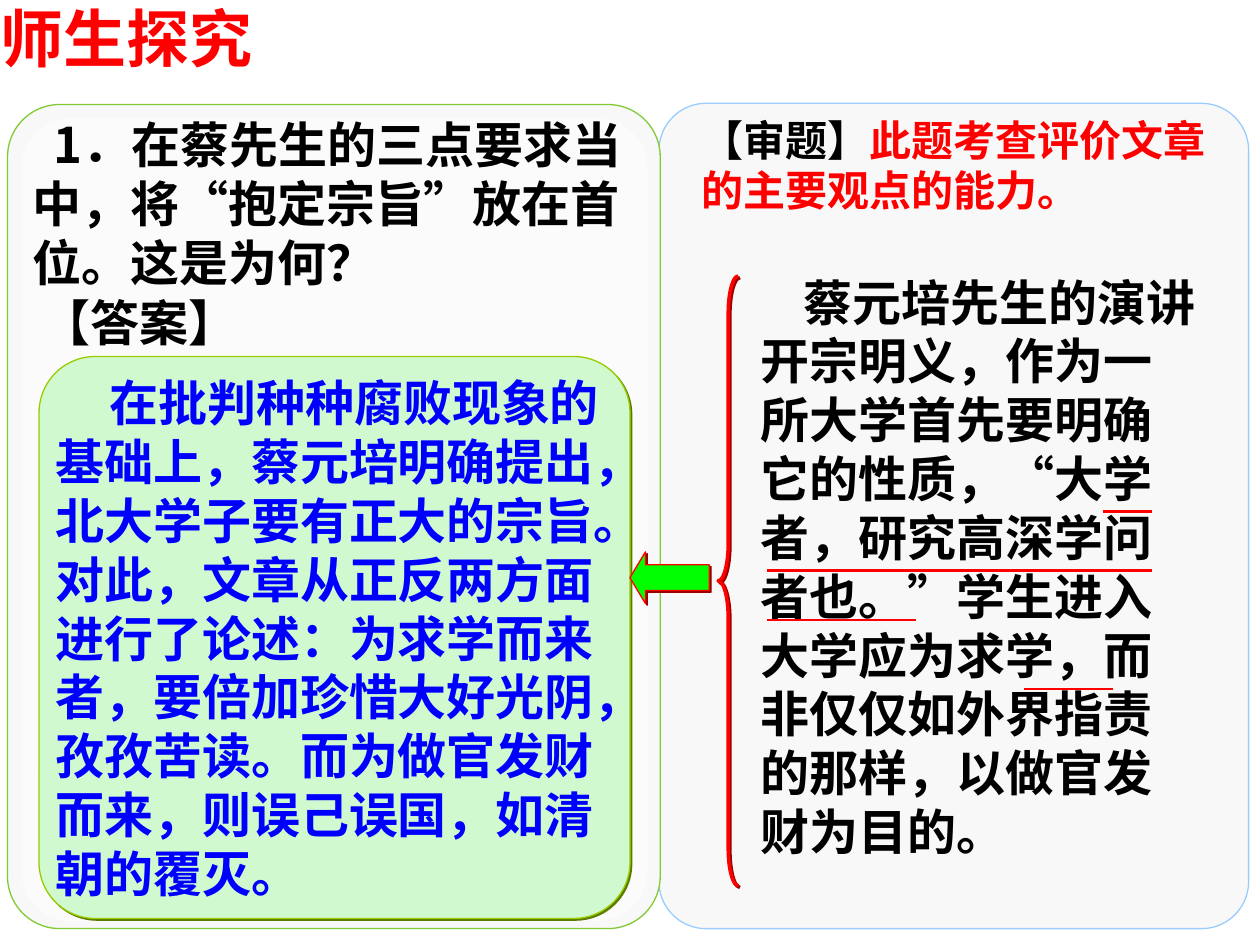
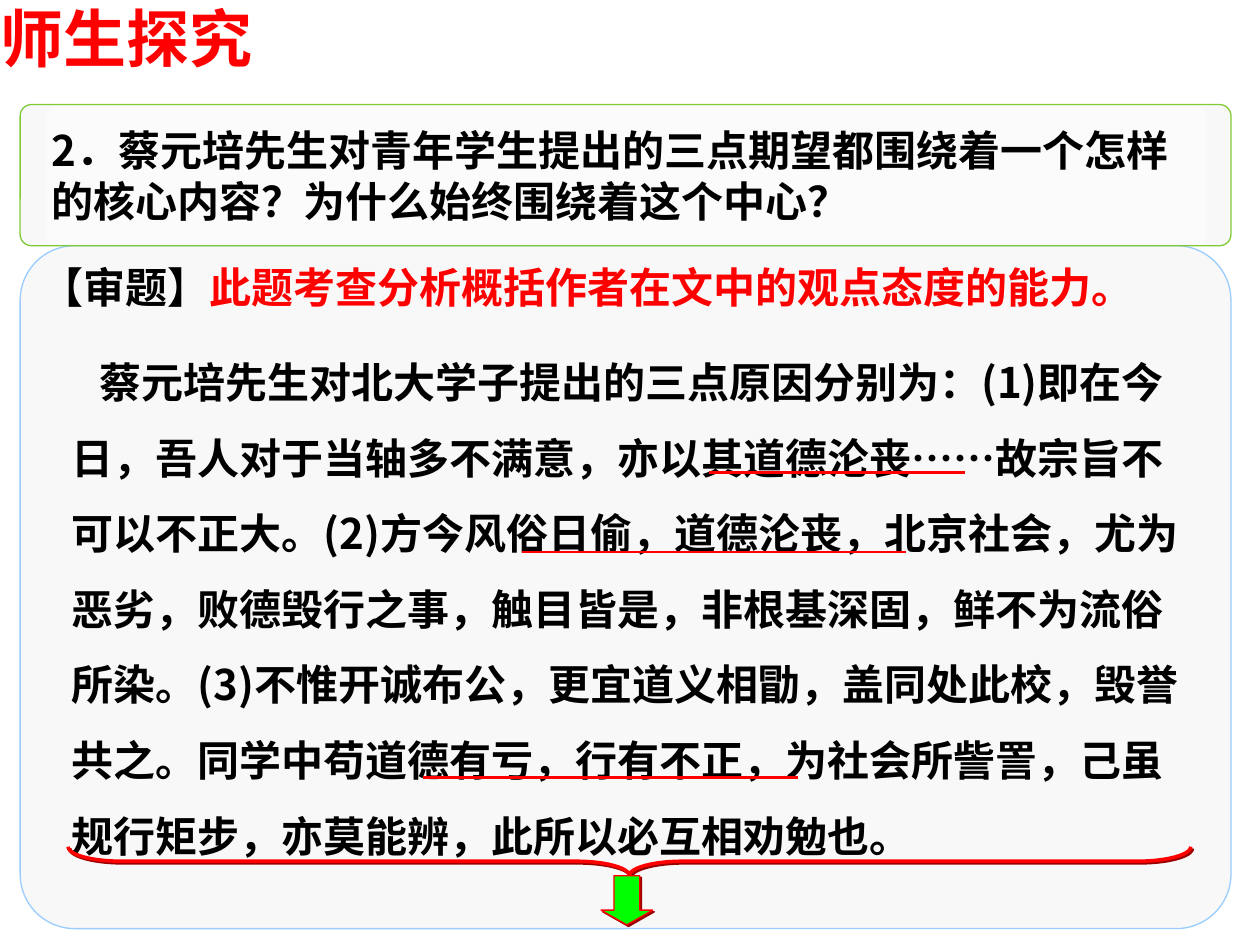
from dataclasses import dataclass
from typing import NamedTuple

from lxml import etree
from pptx import Presentation
from pptx.dml.color import RGBColor
from pptx.enum.shapes import MSO_CONNECTOR, MSO_SHAPE
from pptx.enum.text import MSO_ANCHOR, PP_ALIGN
from pptx.oxml.ns import qn
from pptx.util import Inches, Pt

ROUND = MSO_SHAPE.ROUNDED_RECTANGLE
BRACE = MSO_SHAPE.LEFT_BRACE
ARROW = MSO_SHAPE.LEFT_ARROW
STRAIGHT = MSO_CONNECTOR.STRAIGHT
TOP, MIDDLE = MSO_ANCHOR.TOP, MSO_ANCHOR.MIDDLE
LEFT = PP_ALIGN.LEFT

# Grid: 100 columns by 75 rows
WIDTH, HEIGHT = Inches(10), Inches(7.5)
COL, ROW = WIDTH / 100, HEIGHT / 75

# Shared style
BLACK = RGBColor(0x00, 0x00, 0x00)
RED = RGBColor(0xFF, 0x00, 0x00)
BLUE = RGBColor(0x00, 0x00, 0xFF)
WHITE = RGBColor(0xFF, 0xFF, 0xFF)
PANEL = RGBColor(0xF8, 0xF8, 0xF8)
SKY = RGBColor(0x99, 0xCC, 0xFF)
LEAF = RGBColor(0x80, 0xCB, 0x35)
MINT = RGBColor(0xD1, 0xF9, 0xCF)
LIME = RGBColor(0x99, 0xCC, 0x00)
GREEN = RGBColor(0x00, 0xFF, 0x00)
OLIVE = RGBColor(0x5C, 0x7A, 0x00)
DARK_RED = RGBColor(0x99, 0x00, 0x00)
GREY = RGBColor(0x80, 0x80, 0x80)
LATIN, CJK = "Arial", "Noto Sans CJK SC"
CORNER = 0.08
PADDING = (Inches(0.1), Inches(0.05))


class Box(NamedTuple):
    """Place on the grid, in columns and rows."""
    col: float
    row: float
    cols: float
    rows: float

    def emu(self) -> list[int]:
        return [int(v * u) for v, u in zip(self, (COL, ROW, COL, ROW))]


class Underline(NamedTuple):
    start: float
    end: float
    row: float


class Piece(NamedTuple):
    text: str
    color: RGBColor


@dataclass
class Passage:
    box: Box
    pieces: list[Piece]
    size: int = 24
    font: str = CJK
    indent: float = 0  # first line, in columns
    spacing: float = 1
    shadow: bool = False


@dataclass
class Figure:
    box: Box
    kind: int = ROUND
    fill: RGBColor | None = PANEL
    line: RGBColor | None = SKY
    weight: float = 0.75
    adjust: tuple[float, ...] = (CORNER,)
    alpha: int = 100
    shadow: RGBColor | None = None
    rotation: int = 0


def add_shadow(parent, color: RGBColor) -> None:
    effects = parent.find(qn("a:effectLst"))
    if effects is None:
        effects = etree.SubElement(parent, qn("a:effectLst"))
    outer = etree.SubElement(effects, qn("a:outerShdw"), dist=str(Pt(1.4)),
                             dir="2700000", algn="ctr", rotWithShape="0")
    etree.SubElement(outer, qn("a:srgbClr"), val=str(color))


def write(tf, passage: Passage, padding=PADDING, anchor=TOP) -> None:
    tf.word_wrap = True
    tf.vertical_anchor = anchor
    tf.margin_left = tf.margin_right = padding[0]
    tf.margin_top = tf.margin_bottom = padding[1]
    p = tf.paragraphs[0]
    p.alignment = LEFT
    p.line_spacing = passage.spacing
    pPr = p._p.get_or_add_pPr()
    pPr.set("marL", "0")
    pPr.set("indent", str(int(passage.indent * COL)))
    p.font.size, p.font.bold, p.font.name = Pt(passage.size), True, passage.font
    etree.SubElement(pPr.find(qn("a:defRPr")), qn("a:ea"), typeface=CJK)
    for piece in passage.pieces:
        r = p.add_run()
        r.text = piece.text
        r.font.color.rgb = piece.color
        if passage.shadow:
            add_shadow(r._r.get_or_add_rPr(), GREY)


def add_text(s, passage: Passage, padding=PADDING) -> None:
    write(s.shapes.add_textbox(*passage.box.emu()).text_frame, passage, padding)


def add_figure(s, figure: Figure):
    sp = s.shapes.add_shape(figure.kind, *figure.box.emu())
    sp.shadow.inherit = False
    for i, value in enumerate(figure.adjust):
        sp.adjustments[i] = value
    sp.rotation = figure.rotation
    if figure.fill is None:
        sp.fill.background()
    else:
        sp.fill.solid()
        sp.fill.fore_color.rgb = figure.fill
        if figure.alpha < 100:
            color = sp._element.spPr.find(qn("a:solidFill"))[0]
            etree.SubElement(color, qn("a:alpha"), val=str(figure.alpha * 1000))
    if figure.line is None:
        sp.line.fill.background()
    else:
        sp.line.color.rgb = figure.line
        sp.line.width = Pt(figure.weight)
    if figure.shadow is not None:
        add_shadow(sp._element.spPr, figure.shadow)
    return sp


def add_question_panel(s, outer: Box, sheen: Box) -> None:
    add_figure(s, Figure(outer, line=LEAF))
    add_figure(s, Figure(sheen, fill=WHITE, line=None, alpha=50))


def add_pointer(s, brace: Box, arrow: Box, rotation: int = 0) -> None:
    """A brace gathering the text, and the arrow that leads on from it."""
    add_figure(s, Figure(brace, BRACE, None, RED, 2, (1.85, 0.5),
                         shadow=DARK_RED, rotation=rotation))
    add_figure(s, Figure(arrow, ARROW, GREEN, RED, adjust=(0.5, 0.3),
                         shadow=DARK_RED, rotation=rotation))


def add_underlines(s, underlines: list[Underline]) -> None:
    for u in underlines:
        y = int(u.row * ROW)
        line = s.shapes.add_connector(STRAIGHT, int(u.start * COL), y,
                                      int(u.end * COL), y)
        line.line.color.rgb = RED
        line.line.width = Pt(1.5)
        etree.SubElement(line._element.spPr, qn("a:effectLst"))


def add_title(s) -> None:
    add_text(s, Passage(Box(0, 0, 33.5, 6), [Piece("师生探究", RED)], 36, LATIN,
                        shadow=True), (0, 0))


def exam_focus(box: Box, text: str) -> Passage:
    return Passage(box, [Piece("【审题】", BLACK), Piece(text, RED)])


def build_first_question(s) -> None:
    # Panels and title
    add_figure(s, Figure(Box(52.3, 8.2, 46.8, 65.5)))
    add_question_panel(s, Box(0.6, 8.3, 51.8, 65.4), Box(1.7, 9.4, 49.7, 63.7))
    add_title(s)

    # Question and reasoning
    add_text(s, Passage(Box(1.6, 8.6, 49.2, 15), [Piece(
        "1．在蔡先生的三点要求当中，将“抱定宗旨”放在首位。这是为何？", BLACK)],
        28, indent=1.7))
    add_text(s, Passage(Box(59.4, 21.1, 36.7, 47.7), [Piece(
        "蔡元培先生的演讲开宗明义，作为一所大学首先要明确它的性质，“大学者，"
        "研究高深学问者也。”学生进入大学应为求学，而非仅仅如外界指责的那样，"
        "以做官发财为目的。", BLACK)], 28, LATIN, indent=3.4))

    # Answer
    answer = Passage(Box(3.1, 28.3, 46.9, 44.6), [Piece(
        "在批判种种腐败现象的基础上，蔡元培明确提出，北大学子要有正大的宗旨。"
        "对此，文章从正反两方面进行了论述：为求学而来者，要倍加珍惜大好光阴，"
        "孜孜苦读。而为做官发财而来，则误己误国，如清朝的覆灭。", BLUE)],
        28, LATIN, indent=4.3)
    card = add_figure(s, Figure(answer.box, fill=MINT, line=LIME,
                                adjust=(0.1,), shadow=OLIVE))
    write(card.text_frame, answer, (0, 0), MIDDLE)
    add_text(s, exam_focus(Box(54.7, 8.6, 43.7, 9),
                           "此题考查评价文章的主要观点的能力。"))

    # Marks
    add_underlines(s, [Underline(87.5, 91.4, 40.6), Underline(60.9, 91.4, 45.3),
                       Underline(60.9, 72.7, 49.2), Underline(81.3, 88.3, 54.7)])
    add_pointer(s, Box(57, 21.9, 1.6, 48.4), Box(50, 43.8, 6.3, 4.1))
    add_text(s, Passage(Box(2.3, 22.7, 19.5, 5.7), [Piece("【答案】", BLACK)],
                        28, shadow=True))


def build_second_question(s) -> None:
    # Panels and title
    add_figure(s, Figure(Box(1.6, 19.5, 96.1, 54.2)))
    add_question_panel(s, Box(1.6, 8.3, 96.1, 11.2), Box(3.6, 8.5, 92.2, 10.9))
    add_title(s)

    # Question and reasoning
    add_text(s, Passage(Box(3.1, 9.4, 93, 9), [Piece(
        "2．蔡元培先生对青年学生提出的三点期望都围绕着一个怎样的核心内容？"
        "为什么始终围绕着这个中心？", BLACK)]))
    add_text(s, Passage(Box(4.7, 25.8, 91.4, 43), [Piece(
        "蔡元培先生对北大学子提出的三点原因分别为：(1)即在今日，吾人对于当轴多不满意，"
        "亦以其道德沦丧……故宗旨不可以不正大。(2)方今风俗日偷，道德沦丧，北京社会，"
        "尤为恶劣，败德毁行之事，触目皆是，非根基深固，鲜不为流俗所染。(3)不惟开诚布公，"
        "更宜道义相勖，盖同处此校，毁誉共之。同学中苟道德有亏，行有不正，为社会所訾詈，"
        "己虽规行矩步，亦莫能辨，此所以必互相劝勉也。", BLACK)],
        indent=2.2, spacing=1.5))
    add_text(s, exam_focus(Box(2.3, 20.3, 91.4, 5),
                           "此题考查分析概括作者在文中的观点态度的能力。"))

    # Marks
    add_underlines(s, [Underline(56.3, 76.6, 37.5), Underline(41.4, 71.9, 43.8),
                       Underline(33.6, 63.3, 61.7)])
    add_pointer(s, Box(48.8, 23.8, 2.3, 89.1), Box(47.8, 69.4, 3.9, 4.1), 270)


def main() -> None:
    prs = Presentation()
    prs.slide_width, prs.slide_height = WIDTH, HEIGHT
    blank = prs.slide_layouts[6]
    for build in (build_first_question, build_second_question):
        build(prs.slides.add_slide(blank))
    prs.save("out.pptx")


if __name__ == "__main__":
    main()
